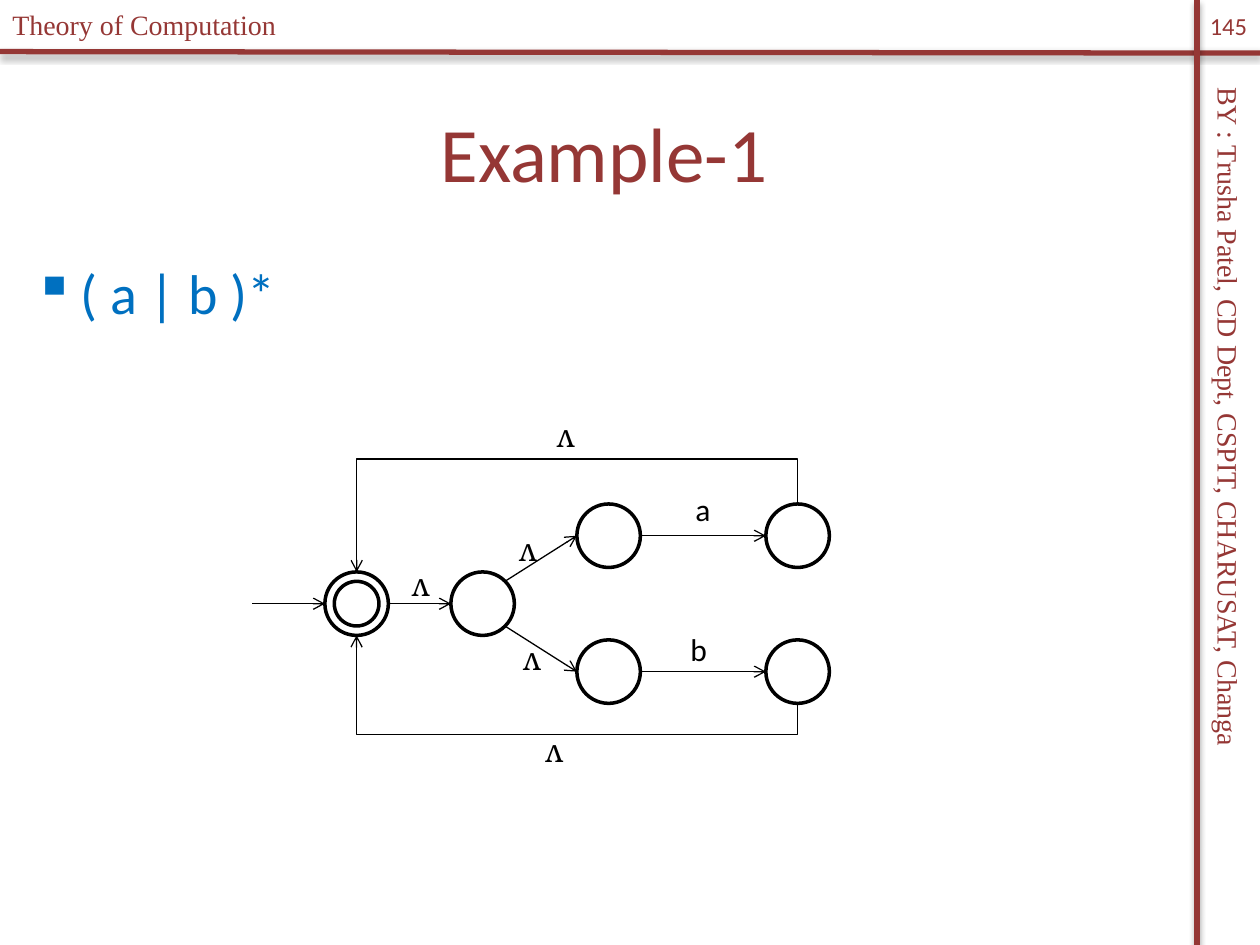
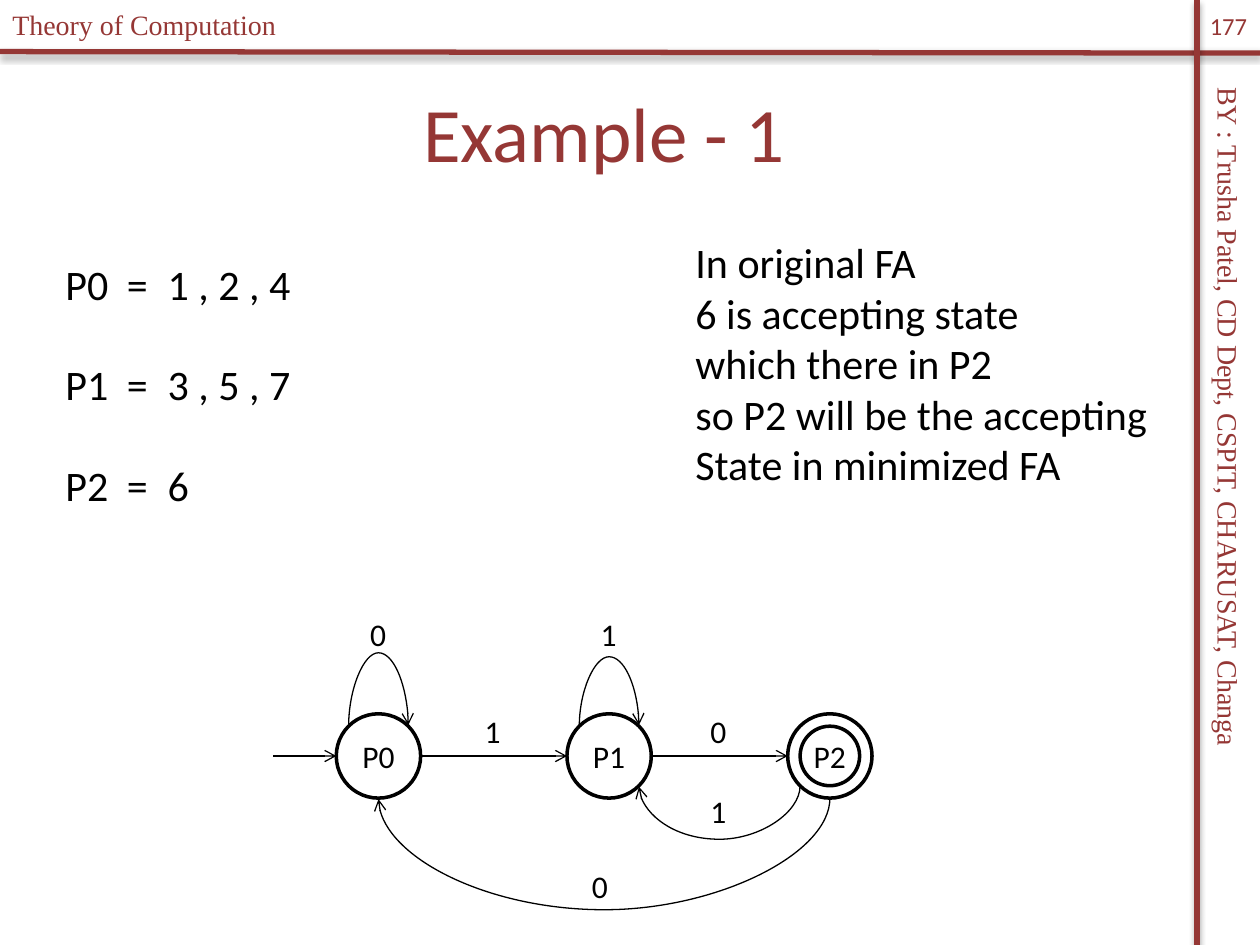
from math import sqrt

from lxml import etree
from pptx import Presentation
from pptx.dml.color import RGBColor
from pptx.enum.shapes import MSO_CONNECTOR, MSO_SHAPE
from pptx.enum.text import MSO_ANCHOR, MSO_AUTO_SIZE, PP_ALIGN
from pptx.oxml.ns import qn
from pptx.util import Cm, Pt

STRAIGHT, ELBOW, CURVE = MSO_CONNECTOR.STRAIGHT, MSO_CONNECTOR.ELBOW, MSO_CONNECTOR.CURVE
OVAL = MSO_SHAPE.OVAL
LEFT, CENTER = PP_ALIGN.LEFT, PP_ALIGN.CENTER
TOP, MIDDLE = MSO_ANCHOR.TOP, MSO_ANCHOR.MIDDLE
FIT = MSO_AUTO_SIZE.SHAPE_TO_FIT_TEXT

MAROON, BLUE, BLACK = "953735", "0070C0", "000000"
SANS, SERIF, SYMBOL = "Calibri", "Times New Roman", "Cambria"
EPSILON = "ʌ"


def color(value):
    return RGBColor.from_string(value)


def sub(parent, tag, **attrs):
    """Append an XML child with the given attributes."""
    child = etree.SubElement(parent, qn(tag))
    for name, value in attrs.items():
        child.set(name, str(value))
    return child


def write(tf, text, size=18, font=SANS, ink=BLACK, align=LEFT, anchor=TOP,
          before=0, bullet=None, indent=0, tabs=()):
    """Fill a text frame, one paragraph per line of text."""
    tf.vertical_anchor = anchor
    for i, line in enumerate(text.split("\n")):
        p = tf.paragraphs[0] if i == 0 else tf.add_paragraph()
        p.alignment = align
        if i and before:
            p.space_before = Pt(before)
        pPr = p._p.get_or_add_pPr()
        if bullet:
            pPr.set("marL", str(Cm(indent)))
            pPr.set("indent", str(-Cm(indent)))
            sub(pPr, "a:buChar", char=bullet)
        if tabs:
            tab_list = sub(pPr, "a:tabLst")
            for pos in tabs:
                sub(tab_list, "a:tab", pos=Cm(pos), algn="l")
        r = p.add_run()
        r.text = line
        r.font.size, r.font.name = Pt(size), font
        r.font.color.rgb = color(ink)


def add_text(s, box, text, wrap=False, margin=None, rotation=0, **fmt):
    tb = s.shapes.add_textbox(*map(Cm, box))
    tb.rotation = rotation
    tf = tb.text_frame
    tf.word_wrap = wrap
    if not wrap:
        tf.auto_size = FIT
    if margin is not None:
        tf.margin_left = tf.margin_right = Cm(margin)
    write(tf, text, **fmt)


def add_line(s, start, end, kind=STRAIGHT, ink=BLACK, width=0.75, arrow=True):
    """Draw a connector; returns it with an empty effect list."""
    c = s.shapes.add_connector(kind, *map(Cm, (*start, *end)))
    c.line.color.rgb = color(ink)
    c.line.width = Pt(width)
    if arrow:
        sub(c.line._get_or_add_ln(), "a:tailEnd", type="arrow")
    sub(c.element.spPr, "a:effectLst")
    return c


def add_detour(s, kind, start, end, via_y):
    """Connector that leaves vertically and turns back at height via_y."""
    (x1, y1), (x2, y2) = start, end
    c = add_line(s, start, end, kind)
    w, h = abs(y2 - y1), abs(x2 - x1)
    c.left, c.top = Cm((x1 + x2 - w) / 2), Cm((y1 + y2 - h) / 2)
    c.width, c.height = Cm(w), Cm(h)
    xfrm = c.element.spPr.find(qn("a:xfrm"))
    xfrm.set("rot", "5400000")
    xfrm.set("flipH", str(int(y2 < y1)))
    xfrm.set("flipV", str(int(x2 > x1)))
    geom = c.element.spPr.find(qn("a:prstGeom"))
    guides = geom.find(qn("a:avLst"))
    if guides is None:
        guides = sub(geom, "a:avLst")
    bend = round(100000 * (via_y - y1) / (y2 - y1))
    sub(guides, "a:gd", name="adj1", fmla=f"val {bend}")


def add_state(s, center, radius, text="", filled=True):
    x, y = center
    sp = s.shapes.add_shape(OVAL, Cm(x - radius), Cm(y - radius), Cm(2 * radius), Cm(2 * radius))
    sp.shadow.inherit = False
    if filled:
        sp.fill.solid()
        sp.fill.fore_color.rgb = color("FFFFFF")
    else:
        sp.fill.background()
    sp.line.color.rgb = color(BLACK)
    sp.line.width = Pt(2)
    if text:
        tf = sp.text_frame
        tf.margin_left = tf.margin_right = 0
        write(tf, text, align=CENTER, anchor=MIDDLE)


def shift(point, dx=0, dy=0):
    return point[0] + dx, point[1] + dy


def add_labels(s, origin, labels):
    for text, dx, dy in labels:
        x, y = shift(origin, dx, dy)
        add_text(s, (x, y, 0.84, 1.02), text, font=SYMBOL if text == EPSILON else SANS)


def add_frame(s, number):
    """Rules, course name, author and page number of every slide."""
    for start, end in (((0, 1.04), (25.4, 1.07)), ((24.13, 0), (24.13, 19.05))):
        c = add_line(s, start, end, ink=MAROON, width=3, arrow=False)
        shadow = sub(c.element.spPr.find(qn("a:effectLst")), "a:outerShdw", blurRad=Pt(3.1),
                     dist=Pt(1.8), dir=5400000, rotWithShape=0)
        sub(sub(shadow, "a:srgbClr", val=BLACK), "a:alpha", val=35000)
    small = dict(size=16, font=SERIF, ink=MAROON)
    add_text(s, (16.61, 9.19, 16.31, 0.94), "BY : Trusha Patel, CD Dept, CSPIT, CHARUSAT, Changa",
             rotation=90, **small)
    add_text(s, (0, 0.03, 8.36, 0.94), "Theory of Computation", **small)
    add_text(s, (24.13, 0, 1.27, 1.02), number, wrap=True, margin=0, size=14, ink=MAROON,
             align=CENTER, anchor=MIDDLE)


def add_title(s, text, top):
    add_text(s, (0.43, top, 23.5, 3.18), text, wrap=True, size=44, ink=MAROON,
             align=CENTER, anchor=MIDDLE)


def add_nfa(s, origin):
    """Automaton for ( a | b )* with its two return paths."""
    radius = 0.64
    d = radius / sqrt(2)
    start, fork = shift(origin, 2.11, 3.91), shift(origin, 4.65, 3.91)
    add_state(s, start, radius)
    add_state(s, start, 0.45)
    add_state(s, fork, radius)
    add_line(s, shift(start, -2.11), shift(start, -radius))
    add_line(s, shift(start, radius), shift(fork, -radius))
    # Branches: a above, b below
    for side, via_y in ((-1, 0.99), (1, 6.55)):
        first, last = shift(fork, 2.54, side * 1.37), shift(fork, 6.35, side * 1.37)
        add_state(s, first, radius)
        add_state(s, last, radius)
        add_line(s, shift(fork, d, side * d), shift(first, -radius))
        add_line(s, shift(first, radius), shift(last, -radius))
        add_detour(s, ELBOW, shift(last, 0, side * radius), shift(start, 0, side * radius),
                   origin[1] + via_y)
    add_labels(s, origin, [("a", 8.69, 1.5), ("b", 8.59, 4.32), (EPSILON, 5.13, 2.31),
                           (EPSILON, 5.21, 4.5), (EPSILON, 5.89, 0), (EPSILON, 5.66, 6.35),
                           (EPSILON, 2.97, 3)])


def add_minimized_fa(s, origin):
    """Three-state automaton with loops and return arcs."""
    radius, nudge = 0.85, 0.02
    d = radius / sqrt(2)
    p0, p1, p2 = states = [shift(origin, x, 2.97) for x in (2.12, 6.77, 11.22)]
    for i, center in enumerate(states):
        add_state(s, center, radius, f"P{i}")
    add_state(s, p2, 0.6, filled=False)
    # Forward arrows
    add_line(s, shift(p0, -2.12), shift(p0, -radius))
    for a, b in ((p0, p1), (p1, p2)):
        add_line(s, shift(a, radius), shift(b, -radius))
    # Loops and return arcs
    arcs = [(shift(p0, -d, -d), shift(p0, d, -d - nudge), 0.89),
            (shift(p1, -d, -d), shift(p1, d, -d - nudge), 0.97),
            (shift(p2, -d, d), shift(p1, d, d + nudge), 4.65),
            (shift(p2, 0, radius), shift(p0, 0, radius + nudge), 6.07)]
    for start, end, via_y in arcs:
        add_detour(s, CURVE, start, end, origin[1] + via_y)
    add_labels(s, origin, [("0", 1.7, 0), ("0", 8.56, 1.96), ("0", 6.17, 5.08),
                           ("1", 6.35, 0), ("1", 4.01, 1.96), ("1", 8.56, 3.58)])


def new_slide(prs, number, title, title_top):
    s = prs.slides.add_slide(prs.slide_layouts[6])
    add_frame(s, number)
    add_title(s, title, title_top)
    return s


def main():
    prs = Presentation()
    prs.slide_width, prs.slide_height = Cm(25.4), Cm(19.05)

    # Regular expression and its automaton
    s = new_slide(prs, "145", "Example-1", 1.47)
    add_text(s, (0.43, 5.08, 23.5, 13.34), "( a | b )*", wrap=True, size=32, ink=BLUE,
             bullet="▪", indent=0.95)
    add_nfa(s, (5.08, 8.26))

    # State groups and the minimized automaton
    s = new_slide(prs, "177", "Example - 1", 1.07)
    add_text(s, (13.77, 4.65, 9.7, 5.38),
             "In original FA\n6 is accepting state\nwhich there in P2\n"
             "so P2 will be the accepting\nState in minimized FA", size=24)
    add_text(s, (1.07, 5.08, 5.6, 5.38), "P0\t=\t1 , 2 , 4\nP1\t=\t3 , 5 , 7\nP2\t=\t6",
             wrap=True, size=24, before=28.8, tabs=(1.24, 2.06))
    add_minimized_fa(s, (5.51, 12.27))

    prs.save("out.pptx")


if __name__ == "__main__":
    main()
